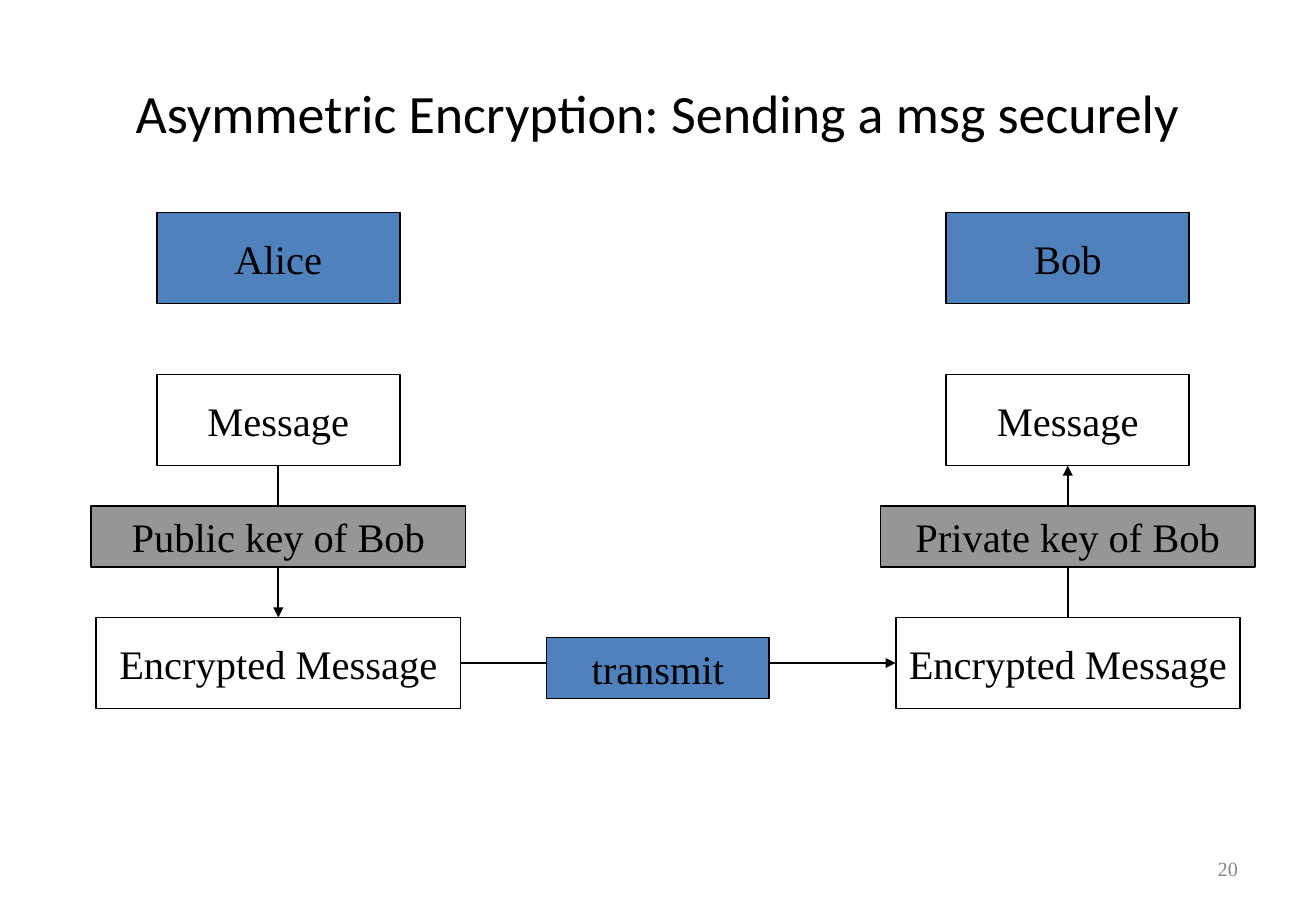
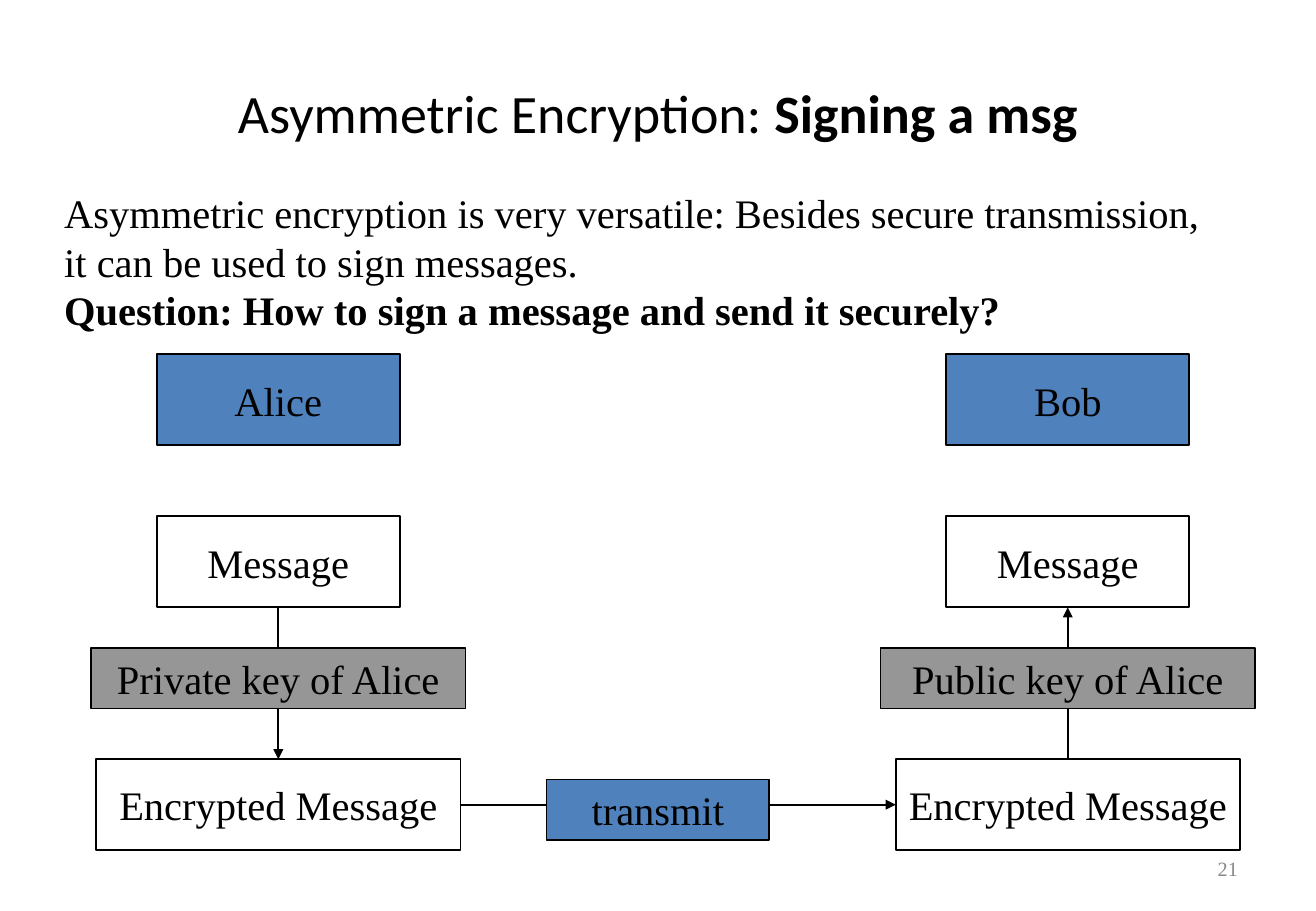
from dataclasses import dataclass
from typing import Any

import pptx
import pptx.dml.color
import pptx.enum.shapes
import pptx.enum.text
import pptx.util
from lxml import etree
from pptx.oxml import ns

Pt = pptx.util.Pt
RGB = pptx.dml.color.RGBColor
ALIGN = pptx.enum.text.PP_ALIGN
ANCHOR = pptx.enum.text.MSO_ANCHOR
FIT = pptx.enum.text.MSO_AUTO_SIZE

BLACK = RGB(0x00, 0x00, 0x00)
WHITE = RGB(0xFF, 0xFF, 0xFF)
BLUE = RGB(0x4F, 0x81, 0xBD)
GRAY = RGB(0x96, 0x96, 0x96)
PALE = RGB(0x89, 0x89, 0x89)

TITLE = {"name": "Calibri", "size": Pt(32)}
BODY = {"name": "Times New Roman", "size": Pt(24)}
FOOT = {"name": "Times New Roman", "size": Pt(12)}

MIDDLE = {"vertical_anchor": ANCHOR.MIDDLE, "word_wrap": True}
LABEL = {"vertical_anchor": ANCHOR.MIDDLE, "word_wrap": False}
INTRO = {"vertical_anchor": ANCHOR.TOP, "word_wrap": False,
         "auto_size": FIT.SHAPE_TO_FIT_TEXT}

TOP_SIDE, LEFT_SIDE, BOTTOM_SIDE, RIGHT_SIDE = range(4)
WIDE, HIGH = 780.12, 540
TALL, LOW = 54, 36
NAME_WIDE, KEY_WIDE, SEND_WIDE = 144, 222, 132
ALICE_MID, SEND_MID, BOB_MID = 165, 390, 633
# Offsets of each row from the top of the diagram
PLAIN_ROW, KEY_ROW, CODED_ROW, SEND_ROW = 96, 174, 240, 252


@dataclass(frozen=True)
class Run:
    text: str
    bold: bool = False


Lines = list[list[Run]]


@dataclass(frozen=True)
class Party:
    name: str
    key: str
    mid: float
    wide: float  # width of the encrypted message box


@dataclass(frozen=True)
class Page:
    title: list[Run]
    notes: Lines
    top: float
    keys: tuple[str, str]
    number: str


PAGES = [
    Page([Run("Asymmetric Encryption: Sending a msg securely")], [], 126,
         ("Public key of Bob", "Private key of Bob"), "20"),
    Page([Run("Asymmetric Encryption: "), Run("Signing a msg", True)],
         [[Run("Asymmetric encryption is very versatile: Besides secure transmission,")],
          [Run("it can be used to sign messages.")],
          [Run("Question: How to sign a message and send it securely?", True)]],
         210, ("Private key of Alice", "Public key of Alice"), "21"),
]


def assign(target: Any, values: dict[str, Any]) -> None:
    for name, value in values.items():
        setattr(target, name, value)


def write(shape: Any, lines: Lines, frame: dict[str, Any], font: dict[str, Any],
          align: Any, color: RGB = BLACK) -> None:
    text = shape.text_frame
    assign(text, frame)
    for index, runs in enumerate(lines):
        para = text.add_paragraph() if index else text.paragraphs[0]
        para.alignment = align
        for part in runs:
            run = para.add_run()
            run.text = part.text
            assign(run.font, font | {"bold": part.bold})
            run.font.color.rgb = color


def add_text(slide: Any, area: tuple[float, ...], lines: Lines,
             *style: Any) -> None:
    write(slide.shapes.add_textbox(*map(Pt, area)), lines, *style)


def add_box(slide: Any, text: str, mid: float, top: float, wide: float,
            high: float, fill: RGB) -> Any:
    """Draw a labelled rectangle centred on mid."""
    box = slide.shapes.add_shape(
        pptx.enum.shapes.MSO_SHAPE.RECTANGLE,
        Pt(mid - wide / 2), Pt(top), Pt(wide), Pt(high))
    box.shadow.inherit = False
    box.fill.solid()
    box.fill.fore_color.rgb = fill
    box.line.color.rgb = BLACK
    box.line.width = Pt(1)
    write(box, [[Run(text)]], LABEL, BODY, ALIGN.CENTER)
    return box


def add_arrow(slide: Any, start: Any, out: int, end: Any, into: int) -> None:
    """Join a side of start to a side of end, with a head at end."""
    arrow = slide.shapes.add_connector(
        pptx.enum.shapes.MSO_CONNECTOR.STRAIGHT, Pt(0), Pt(0), Pt(0), Pt(0))
    arrow.begin_connect(start, out)
    arrow.end_connect(end, into)
    arrow.line.color.rgb = BLACK
    arrow.line.width = Pt(1)
    props = arrow._element.spPr
    etree.SubElement(props.find(ns.qn("a:ln")), ns.qn("a:tailEnd"),
                     type="triangle")
    etree.SubElement(props, ns.qn("a:effectLst"))


def add_party(slide: Any, party: Party, top: float, sends: bool) -> Any:
    """Draw one party's column and return its encrypted message box."""
    add_box(slide, party.name, party.mid, top, NAME_WIDE, TALL, BLUE)
    plain = add_box(slide, "Message", party.mid, top + PLAIN_ROW,
                    NAME_WIDE, TALL, WHITE)
    coded = add_box(slide, "Encrypted Message", party.mid, top + CODED_ROW,
                    party.wide, TALL, WHITE)
    if sends:
        add_arrow(slide, plain, BOTTOM_SIDE, coded, TOP_SIDE)
    else:
        add_arrow(slide, coded, TOP_SIDE, plain, BOTTOM_SIDE)
    add_box(slide, party.key, party.mid, top + KEY_ROW, KEY_WIDE, LOW, GRAY)
    return coded


def add_page(deck: Any, page: Page) -> None:
    slide = deck.slides.add_slide(deck.slide_layouts[6])
    add_text(slide, (39, 21.6, 702, 90), [page.title],
             MIDDLE, TITLE, ALIGN.CENTER)
    alice = Party("Alice", page.keys[0], ALICE_MID, 216)
    bob = Party("Bob", page.keys[1], BOB_MID, 204)
    sent = add_party(slide, alice, page.top, True)
    got = add_party(slide, bob, page.top, False)
    add_arrow(slide, sent, RIGHT_SIDE, got, LEFT_SIDE)
    add_box(slide, "transmit", SEND_MID, page.top + SEND_ROW,
            SEND_WIDE, LOW, BLUE)
    if page.notes:
        add_text(slide, (31, 108, 693.4, 93.6), page.notes,
                 INTRO, BODY, ALIGN.LEFT)
    add_text(slide, (558.7, 500.4, 182.2, 28.8), [[Run(page.number)]],
             MIDDLE, FOOT, ALIGN.RIGHT, PALE)


def main() -> None:
    deck = pptx.Presentation()
    deck.slide_width = Pt(WIDE)
    deck.slide_height = Pt(HIGH)
    for page in PAGES:
        add_page(deck, page)
    deck.save("out.pptx")


if __name__ == "__main__":
    main()
